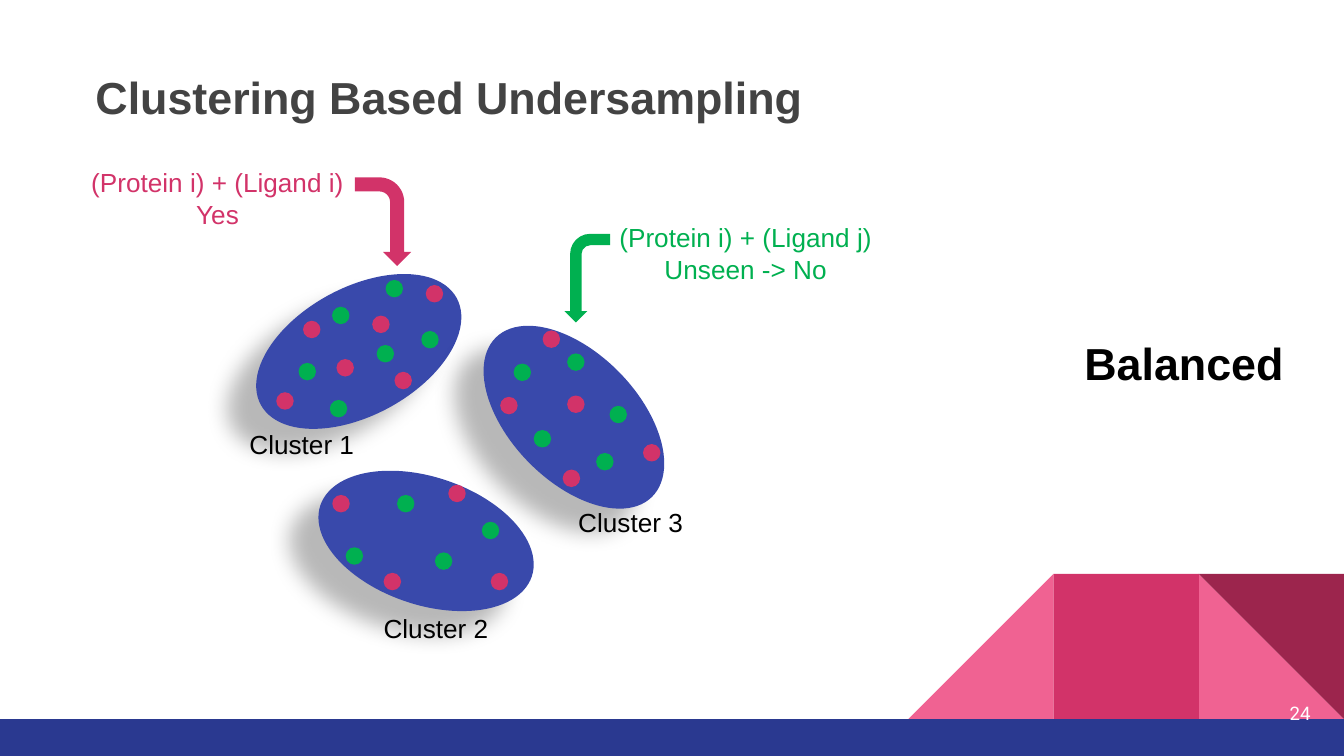
from collections import namedtuple

from lxml import etree
from pptx import Presentation
from pptx.dml.color import RGBColor
from pptx.enum.shapes import MSO_SHAPE as Shape
from pptx.enum.text import MSO_ANCHOR as Anchor, MSO_AUTO_SIZE as AutoSize, PP_ALIGN as Align
from pptx.oxml.ns import qn
from pptx.util import Inches, Pt

Box = namedtuple("Box", "left top width height")

PAGE = Box(0, 0, 10, 10 * 9 / 16)
CLUSTER_SIZE = (1.66, 0.95)
DOT = 0.13
PINK, LIGHT_PINK, DARK_PINK = "D23369", "F06292", "9C254D"
GREEN, BLUE, NAVY = "00B050", "3949AB", "2A3990"
BLACK, WHITE, GREY = "000000", "FFFFFF", "434343"

# Each cluster: name, left, top, rotation, label position, "yes" dots, "no" dots.
# Label and dot positions are shares of the cluster's box.
CLUSTERS = [
    ("Cluster 1", 1.84, 2.14, 331.4, (-0.05, 1.05),
     [(0.80, -0.02), (0.25, 0.26), (0.13, 0.82), (0.66, 0.66), (0.56, 0.22), (0.40, 0.56)],
     [(0.62, -0.06), (0.38, 0.15), (0.23, 0.59), (0.37, 0.88), (0.58, 0.45), (0.78, 0.34)]),
    ("Cluster 3", 3.44, 2.63, 45.7, (0.46, 1.15),
     [(0.17, 0.34), (0.47, 0.33), (0.81, 0.71), (0.45, 0.91), (0.36, -0.18)],
     [(0.47, 0), (0.23, 0.08), (0.66, 0.41), (0.32, 0.60), (0.60, 0.78)]),
    ("Cluster 2", 2.34, 3.55, 18.6, (0.25, 1.01),
     [(0.08, 0.14), (0.60, 0.06), (0.31, 0.75), (0.79, 0.75)],
     [(0.37, 0.14), (0.54, 0.59), (0.75, 0.35), (0.14, 0.55)]),
]


def rgb(color):
    return RGBColor.from_string(color)


def emu(box):
    return [Inches(length) for length in box]


def format_runs(frame, size, color, bold=False, font="Arial"):
    for paragraph in frame.paragraphs:
        for run in paragraph.runs:
            run.font.size, run.font.name, run.font.bold = Pt(size), font, bold
            run.font.color.rgb = rgb(color)


def add_filled(slide, kind, box, color, rotation=0, flip=None):
    shape = slide.shapes.add_shape(kind, *emu(box))
    shape.fill.solid()
    shape.fill.fore_color.rgb = rgb(color)
    shape.line.fill.background()
    shape.shadow.inherit = False
    shape.rotation = rotation
    if flip:
        shape._element.spPr.find(qn("a:xfrm")).set(flip, "1")
    return shape


def add_text(slide, box, text, size, color, bold=False, font="Arial"):
    frame = slide.shapes.add_textbox(*emu(box)).text_frame
    frame.word_wrap = True
    frame.text = text
    format_runs(frame, size, color, bold, font)
    return frame


def add_soft_shadow(shape):
    effects = shape._element.spPr.find(qn("a:effectLst"))
    shadow = etree.SubElement(effects, qn("a:outerShdw"), blurRad=str(Pt(11.8)),
                              dist=str(Pt(19.7)), dir=str(141 * 60000), rotWithShape="0")
    black = etree.SubElement(shadow, qn("a:srgbClr"), val=BLACK)
    etree.SubElement(black, qn("a:alpha"), val="28000")


def add_footer(slide, page):
    """Navy bar with three tiles standing on it at the right edge."""
    tile, bar_top = 1.08, 5.35
    tiles = [(1, Shape.RIGHT_TRIANGLE, LIGHT_PINK, 0, None),
             (3, Shape.RIGHT_TRIANGLE, LIGHT_PINK, 0, "flipH"),
             (2, Shape.RECTANGLE, PINK, 0, None),
             (1, Shape.RIGHT_TRIANGLE, DARK_PINK, 180, None)]
    for column, kind, color, rotation, flip in tiles:
        box = Box(page.width - column * tile, bar_top - tile, tile, tile)
        add_filled(slide, kind, box, color, rotation, flip)
    bar = Box(0, bar_top, page.width, page.height - bar_top)
    add_filled(slide, Shape.RECTANGLE, bar, NAVY)

    number = add_text(slide, Box(9.25, 5.09, 0.6, 0.43), "24", 10, WHITE, font="Roboto")
    number.vertical_anchor = Anchor.MIDDLE
    number.margin_top = number.margin_bottom = Inches(0.1)
    number.paragraphs[0].alignment = Align.RIGHT


def add_title(slide, box):
    title = slide.shapes.title
    title.left, title.top, title.width, title.height = emu(box)
    frame = title.text_frame
    frame.text = "Clustering Based Undersampling"
    frame.auto_size = AutoSize.NONE
    frame.vertical_anchor = Anchor.TOP
    frame.margin_left = frame.margin_right = Inches(0.1)
    frame.margin_top = frame.margin_bottom = Inches(0.1)
    line = frame.paragraphs[0]
    line.alignment, line.line_spacing, line.space_after = Align.LEFT, 1.15, Pt(16)
    format_runs(frame, 24, GREY, bold=True)


def add_cluster(slide, box, name, rotation, label_at, yes_dots, no_dots):
    """Shadowed ellipse with its coloured dots and its name."""
    def place(share, width, height):
        return Box(box.left + share[0] * box.width, box.top + share[1] * box.height,
                   width, height)

    add_soft_shadow(add_filled(slide, Shape.OVAL, box, BLUE, rotation))
    for color, dots in ((PINK, yes_dots), (GREEN, no_dots)):
        for dot in dots:
            add_filled(slide, Shape.OVAL, place(dot, DOT, DOT), color)
    add_text(slide, place(label_at, 1.02, 0.34), name, 14, BLACK)


def add_pair(slide, box, pair, outcome, color, arrow_box, flip=None):
    """Protein and ligand pair with a bent arrow to its cluster."""
    add_filled(slide, Shape.BENT_ARROW, arrow_box, color, 90, flip)
    frame = add_text(slide, box, f"{pair}\n{outcome}", 14, color)
    frame.word_wrap = False
    frame.paragraphs[1].alignment = Align.CENTER


def main():
    deck = Presentation()
    deck.slide_width, deck.slide_height = Inches(PAGE.width), Inches(PAGE.height)
    slide = deck.slides.add_slide(deck.slide_layouts[5])

    # Frame of the slide
    add_footer(slide, PAGE)
    add_title(slide, Box(0.61, 0.36, 5.99, 0.66))

    # Clusters
    for name, left, top, *details in CLUSTERS:
        add_cluster(slide, Box(left, top, *CLUSTER_SIZE), name, *details)

    # Example pairs
    add_pair(slide, Box(0.58, 1.19, 2.09, 0.57), "(Protein i) + (Ligand i)", "Yes",
             PINK, Box(2.52, 1.44, 0.66, 0.42))
    add_pair(slide, Box(4.51, 1.6, 2.09, 0.57), "(Protein i) + (Ligand j)",
             "Unseen -> No", GREEN, Box(4.04, 1.9, 0.66, 0.34), "flipV")

    # Result
    add_text(slide, Box(7.97, 2.45, 1.7, 0.5), "Balanced", 24, BLACK, bold=True)
    deck.save("out.pptx")


if __name__ == "__main__":
    main()
